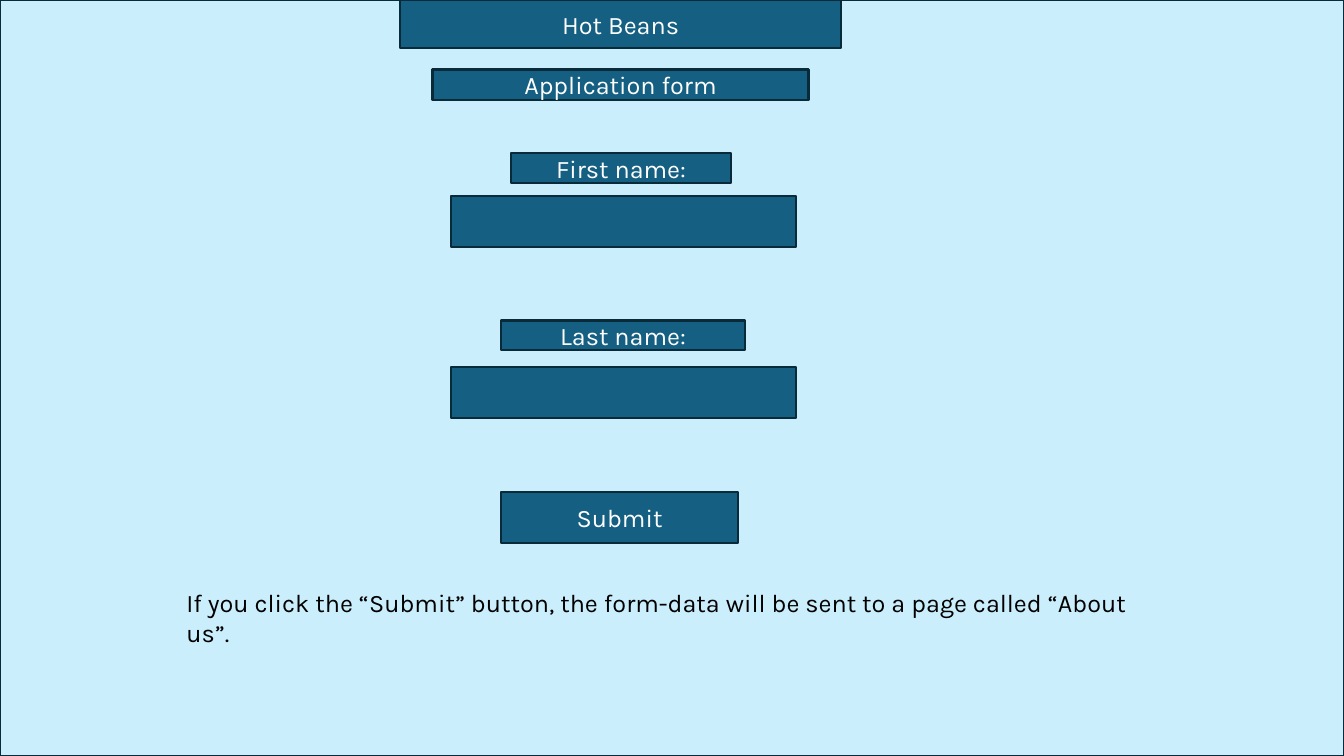
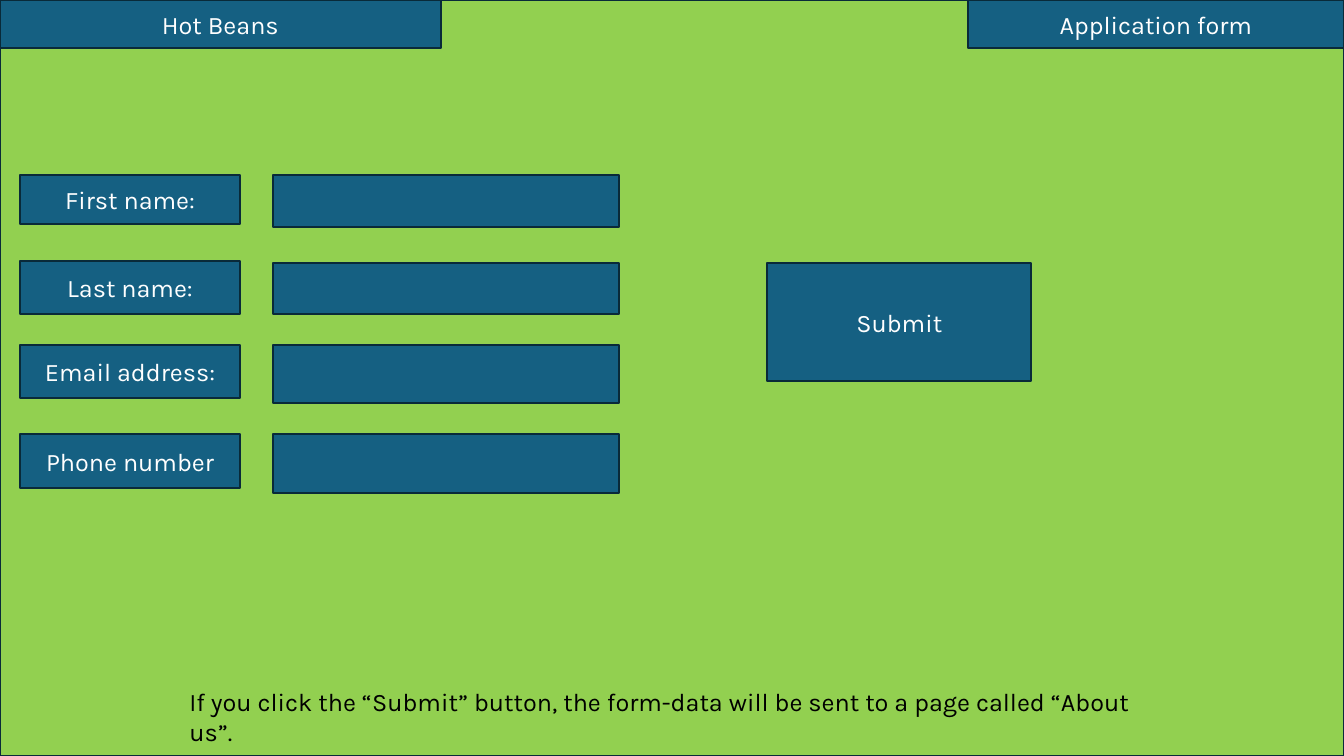
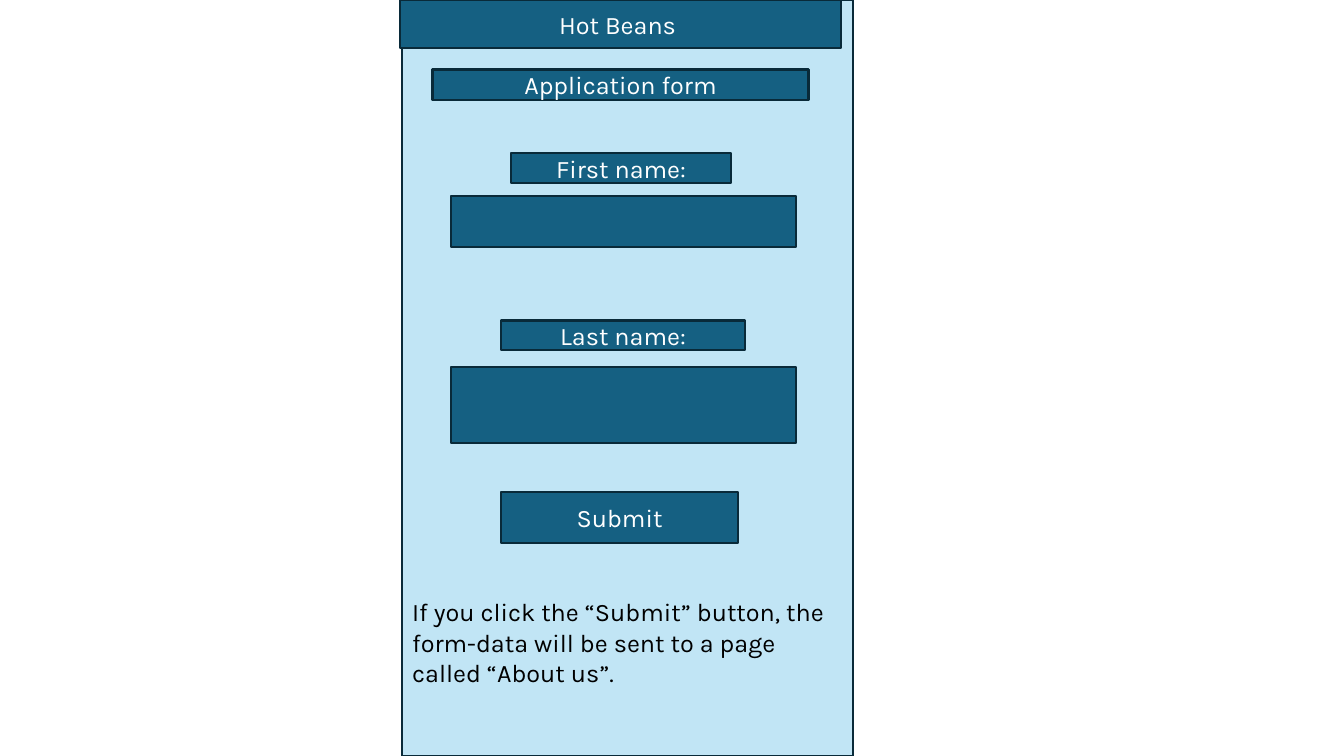
from pptx import Presentation
from pptx.dml.color import RGBColor
from pptx.enum.shapes import MSO_SHAPE
from pptx.enum.text import MSO_ANCHOR, MSO_AUTO_SIZE, PP_ALIGN
from pptx.util import Inches, Pt

RECT = MSO_SHAPE.RECTANGLE
MIDDLE = MSO_ANCHOR.MIDDLE
CENTER = PP_ALIGN.CENTER
FIT_SHAPE = MSO_AUTO_SIZE.SHAPE_TO_FIT_TEXT
NO_FIT = MSO_AUTO_SIZE.NONE
TITLE_ONLY = 5

SLIDE_W, SLIDE_H = 13.33, 7.5
BAND_H = 0.48
FIELD_W, FIELD_H = 3.43, 0.51
NOTE = ("If you click the “Submit” button, the form-data will be sent "
        "to a page called “About us”.")


def rgb(value):
    return RGBColor.from_string(value)


class Wireframe:
    FONT, SIZE = "Karla", 18
    BOX, EDGE, LIGHT, DARK = "156082", "092A39", "FFFFFF", "000000"

    def __init__(self, prs):
        self.prs = prs
        self.s = None

    def page(self, color, left=0, width=SLIDE_W):
        """Start a slide with a full-height panel behind its form."""
        self.s = self.prs.slides.add_slide(self.prs.slide_layouts[TITLE_ONLY])
        self.box(left, 0, width, SLIDE_H, fill=color)

    def paint(self, sp, fill):
        sp.fill.solid()
        sp.fill.fore_color.rgb = rgb(fill)
        sp.line.color.rgb = rgb(self.EDGE)
        sp.line.width = Pt(1.5)

    def set_text(self, sp, text, color, align=None):
        tf = sp.text_frame
        tf.text = text
        tf.word_wrap = True
        p = tf.paragraphs[0]
        p.alignment = align
        font = p.runs[0].font
        font.name = self.FONT
        font.size = Pt(self.SIZE)
        font.color.rgb = rgb(color)

    def label(self, sp, text):
        self.set_text(sp, text, self.LIGHT, CENTER)
        sp.text_frame.vertical_anchor = MIDDLE

    def title(self, text, left):
        """Turn the title placeholder into the site band, above the panel."""
        sp = self.s.shapes.title
        sp.left, sp.top = Inches(left), Inches(0)
        sp.width, sp.height = Inches(4.37), Inches(BAND_H)
        self.paint(sp, self.BOX)
        self.label(sp, text)
        sp.text_frame.auto_size = NO_FIT
        sp.element.getparent().append(sp.element)

    def box(self, left, top, width, height, text="", fill=BOX):
        sp = self.s.shapes.add_shape(RECT, Inches(left), Inches(top),
                                     Inches(width), Inches(height))
        sp.shadow.inherit = False
        self.paint(sp, fill)
        if text:
            self.label(sp, text)

    def field(self, left, top, height=FIELD_H):
        self.box(left, top, FIELD_W, height)

    def note(self, left, top, width, height=0.4):
        sp = self.s.shapes.add_textbox(Inches(left), Inches(top),
                                       Inches(width), Inches(height))
        self.set_text(sp, NOTE, self.DARK)
        sp.text_frame.auto_size = FIT_SHAPE

    def stacked_form(self, title, last_field_h=FIELD_H):
        """Draw the one-column form with each label above its field."""
        self.title(title, 3.97)
        self.box(4.29, 0.69, 3.73, 0.3, "Application form")
        self.box(5.07, 1.52, 2.18, 0.3, "First name:")
        self.field(4.47, 1.94)
        self.box(4.97, 3.18, 2.42, 0.29, "Last name:")
        self.field(4.47, 3.64, last_field_h)
        self.box(4.97, 4.88, 2.35, 0.51, "Submit")

    def side_form(self, rows):
        """Draw a row per (label, label top, label height, field top, field height)."""
        for text, label_top, label_h, field_top, field_h in rows:
            self.box(0.2, label_top, 2.18, label_h, text)
            self.field(2.71, field_top, field_h)


def main():
    prs = Presentation()
    prs.slide_width, prs.slide_height = Inches(SLIDE_W), Inches(SLIDE_H)
    w = Wireframe(prs)

    w.page("CAEEFB")
    w.stacked_form("Hot Beans")
    w.note(1.75, 5.78, 9.54)

    w.page("92D050")
    w.title("Hot Beans", 0)
    w.box(9.6, 0, 3.73, BAND_H, "Application form")
    w.side_form([
        ("First name:", 1.74, 0.48, 1.74, FIELD_H),
        ("Last name:", 2.59, 0.53, 2.61, FIELD_H),
        ("Email address:", 3.42, 0.53, 3.42, 0.58),
        ("Phone number", 4.31, 0.53, 4.31, 0.58),
    ])
    w.box(7.61, 2.61, 2.62, 1.17, "Submit")
    w.note(1.78, 6.76, 9.77)

    w.page("C1E5F5", 3.99, 4.47)
    w.stacked_form("Hot Beans ", last_field_h=0.76)
    w.note(3.99, 5.87, 4.47, 1.01)

    prs.save("out.pptx")


if __name__ == "__main__":
    main()
